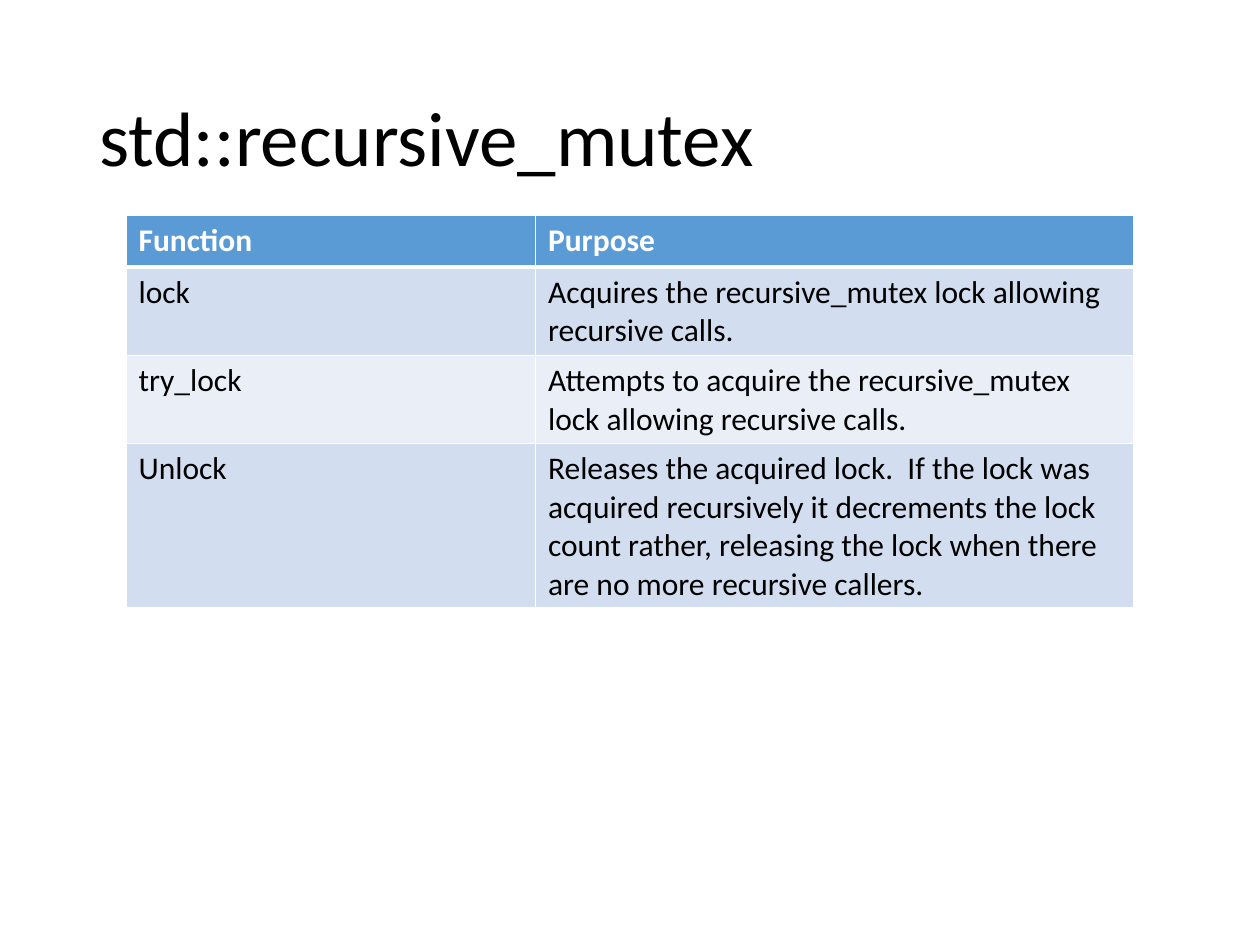
import pptx
import pptx.dml.color
import pptx.enum.text
import pptx.oxml.ns
import pptx.util
from lxml import etree

Inches = pptx.util.Inches
Pt = pptx.util.Pt

COLORS = {
    "black": "000000",
    "white": "FFFFFF",
    "head": "5B9BD5",
    "odd": "D2DEEF",
    "even": "EAEFF7",
}

ROWS = [
    ("Function", "Purpose"),
    ("lock", "Acquires the recursive_mutex lock allowing recursive calls."),
    ("try_lock", "Attempts to acquire the recursive_mutex lock allowing recursive calls."),
    ("Unlock", "Releases the acquired lock.  If the lock was acquired recursively "
               "it decrements the lock count rather, releasing the lock when there "
               "are no more recursive callers."),
]


class Deck:
    """Holds the style and the current slide."""

    font = "Calibri"

    def __init__(self, wide, high):
        self.show = pptx.Presentation()
        self.show.slide_width = Inches(wide)
        self.show.slide_height = Inches(high)
        self.slide = self.show.slides.add_slide(self.show.slide_layouts[6])

    def color(self, name):
        return pptx.dml.color.RGBColor.from_string(COLORS[name])

    def run(self, para, text, size, color, bold=False):
        run = para.add_run()
        run.text = text
        run.font.name = self.font
        run.font.size = Pt(size)
        run.font.bold = bold
        run.font.color.rgb = self.color(color)

    def title(self, text, left, top, wide, high):
        frame = self.slide.shapes.add_textbox(
            Inches(left), Inches(top), Inches(wide), Inches(high)).text_frame
        frame.word_wrap = True
        frame.vertical_anchor = pptx.enum.text.MSO_ANCHOR.MIDDLE
        para = frame.paragraphs[0]
        para.line_spacing = 0.9
        self.run(para, text, 44, "black")

    def border(self, cell, side, width):
        name = pptx.oxml.ns.qn
        props = cell._tc.get_or_add_tcPr()
        line = etree.SubElement(props, name("a:ln" + side), w=str(Pt(width)))
        fill = etree.SubElement(line, name("a:solidFill"))
        etree.SubElement(fill, name("a:srgbClr"), val=COLORS["white"])

    def table(self, rows, left, top, cols, high):
        table = self.slide.shapes.add_table(
            len(rows), len(cols), Inches(left), Inches(top),
            Inches(sum(cols)), Inches(high * len(rows))).table
        for col, wide in zip(table.columns, cols):
            col.width = Inches(wide)
        for r, row in enumerate(rows):
            head = r == 0
            shade = "head" if head else "odd" if r % 2 else "even"
            for c, text in enumerate(row):
                cell = table.cell(r, c)
                # The rule under the header is thicker
                for side in "LRTB":
                    thick = (head and side == "B") or (r == 1 and side == "T")
                    self.border(cell, side, 3 if thick else 1)
                cell.fill.solid()
                cell.fill.fore_color.rgb = self.color(shade)
                self.run(cell.text_frame.paragraphs[0], text, 18,
                         "white" if head else "black", head)


def main():
    deck = Deck(10, 7.5)
    # Heading
    deck.title("std::recursive_mutex", 0.69, 0.4, 8.62, 1.45)
    # Function table; rows grow to fit their text
    deck.table(ROWS, 1, 1.71, (3.25, 4.75), 0.41)
    deck.show.save("out.pptx")


if __name__ == "__main__":
    main()
